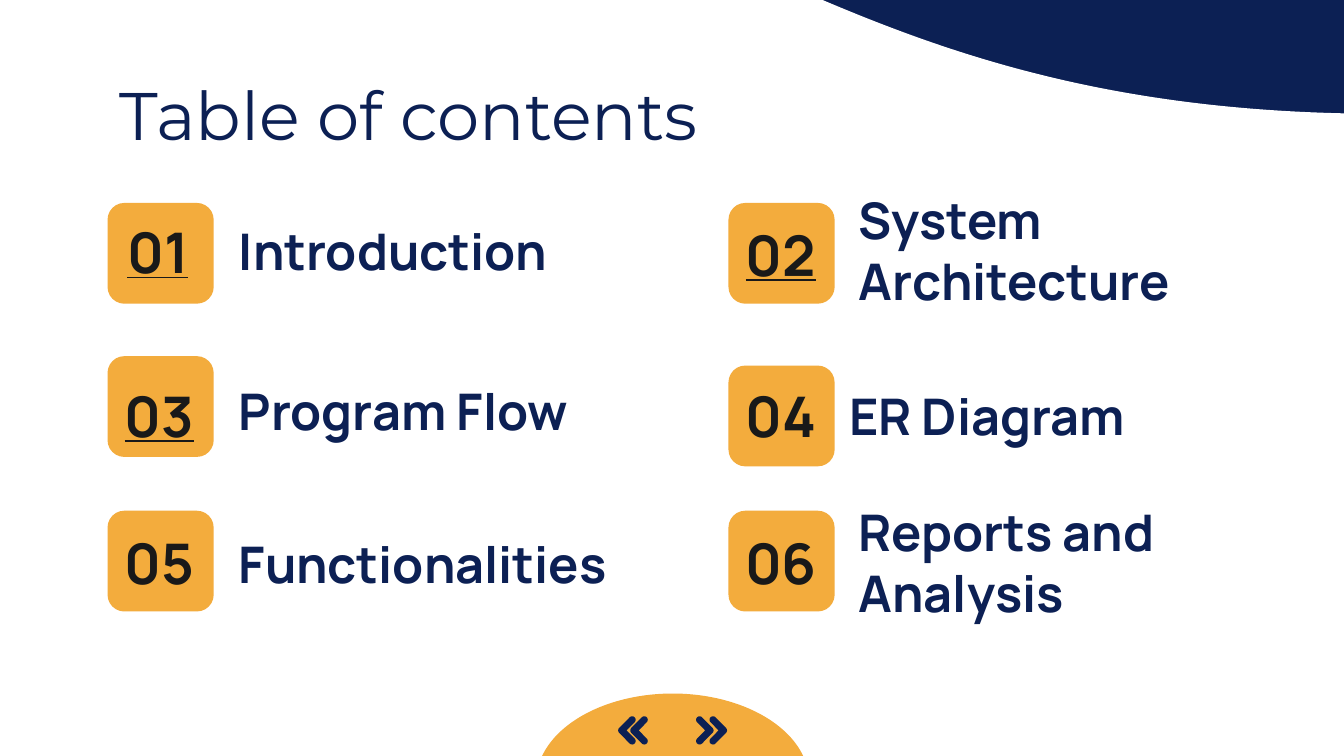
from math import cos, radians, sin, sqrt

from pptx import Presentation
from pptx.dml.color import RGBColor
from pptx.enum.shapes import MSO_SHAPE as Preset
from pptx.enum.text import MSO_ANCHOR as Anchor, MSO_AUTO_SIZE as AutoSize, PP_ALIGN as Align
from pptx.util import Inches, Pt

NAVY = RGBColor(0x0C, 0x20, 0x54)
ORANGE = RGBColor(0xF3, 0xAC, 0x3D)
WHITE = RGBColor(0xFF, 0xFF, 0xFF)
INK = RGBColor(0x19, 0x19, 0x19)

TITLE = "Table of contents"
# number, underlined, number width, label, label width, tile top, number top, label top
ENTRIES = [
    ("01", True, 0.77, "Introduction", 2.94, 1.51, 1.58, 1.57),
    ("02", True, 0.82, "System Architecture", 3.16, 1.51, 1.60, 1.57),
    ("03", True, 0.79, "Program Flow", 2.94, 2.65, 2.80, 2.76),
    ("04", False, 0.82, "ER Diagram", 2.94, 2.72, 2.80, 2.80),
    ("05", False, 0.79, "Functionalities", 3.14, 3.80, 3.89, 3.90),
    ("06", False, 0.82, "Reports and Analysis", 3.16, 3.80, 3.89, 3.89),
]
COLUMNS = [(0.8, 0.79, 1.68), (5.42, 5.4, 6.29)]  # lefts of tile, number, label
LABEL_LEFT = {"04": 6.22}  # sits closer to its tile than the others
TILE_WIDTH, TILE_HEIGHT = 0.79, 0.75
TEXT_HEIGHT = 0.58

ARROW_TOP = 5.33
ARROW_GROUPS = [((5.18, 5.28), False), ((4.69, 4.60), True)]  # lefts, points left
ARROW_WIDTH, ARROW_HEIGHT = 0.13, 0.21
ARROW_RADIUS = ARROW_WIDTH / 5
UNITS_PER_INCH = 10000  # freeform points are rounded to whole units


def paint(shape, color):
    shape.shadow.inherit = False
    shape.fill.solid()
    shape.fill.fore_color.rgb = color
    shape.line.fill.background()


def add_preset(shapes, preset, box, color, flipped=False):
    """Add a filled preset; flipped turns it upside down."""
    shape = shapes.add_shape(preset, *map(Inches, box))
    paint(shape, color)
    if flipped:
        shape.rotation = 180
        shape._element.spPr.xfrm.set("flipH", "1")
    return shape


def write(shape, text, size, font_name, color, align=Align.LEFT, bold=False, underline=False):
    frame = shape.text_frame
    frame.word_wrap = True
    frame.auto_size = AutoSize.NONE
    frame.vertical_anchor = Anchor.MIDDLE
    frame.margin_left = frame.margin_right = Inches(0.1)
    frame.margin_top = frame.margin_bottom = Inches(0.1)
    paragraph = frame.paragraphs[0]
    paragraph.alignment = align
    run = paragraph.add_run()
    run.text = text
    font = run.font
    font.name, font.size, font.bold, font.underline = font_name, Pt(size), bold, underline
    font.color.rgb = color


def chevron_points():
    """Outline of a right-pointing chevron with round ends, in inches."""
    radius = ARROW_RADIUS
    tip_x, middle = ARROW_WIDTH - radius, ARROW_HEIGHT / 2
    arcs = [
        (radius, radius, 135, 315),
        (tip_x, middle, -45, 45),
        (radius, ARROW_HEIGHT - radius, 45, 225),
    ]
    points = [
        (x + radius * cos(radians(angle)), y + radius * sin(radians(angle)))
        for x, y, start, end in arcs
        for angle in range(start, end + 1, 15)
    ]
    return points + [(tip_x - radius * sqrt(2), middle)]


def add_chevron(shapes, left, points_left):
    points = [
        (round((left + (ARROW_WIDTH - x if points_left else x)) * UNITS_PER_INCH),
         round((ARROW_TOP + y) * UNITS_PER_INCH))
        for x, y in chevron_points()
    ]
    builder = shapes.build_freeform(*points[0], scale=Inches(1) / UNITS_PER_INCH)
    builder.add_line_segments(points[1:], close=True)
    paint(builder.convert_to_shape(), NAVY)


def add_entry(shapes, index, entry):
    number, underlined, number_width, label, label_width, tile_top, number_top, label_top = entry
    tile_left, number_left, label_left = COLUMNS[index % len(COLUMNS)]
    tile = add_preset(shapes, Preset.ROUNDED_RECTANGLE,
                      (tile_left, tile_top, TILE_WIDTH, TILE_HEIGHT), ORANGE)
    tile.adjustments[0] = 0.167

    number_box = shapes.add_textbox(Inches(number_left), Inches(number_top),
                                    Inches(number_width), Inches(TEXT_HEIGHT))
    write(number_box, number, 30, "Manrope", INK, Align.CENTER, True, underlined)

    label_box = shapes.add_textbox(Inches(LABEL_LEFT.get(number, label_left)), Inches(label_top),
                                   Inches(label_width), Inches(TEXT_HEIGHT))
    write(label_box, label, 27, "Manrope", NAVY, bold=True)


def main():
    presentation = Presentation()
    presentation.slide_width = Inches(10)
    presentation.slide_height = Inches(10) * 9 // 16
    slide = presentation.slides.add_slide(presentation.slide_layouts[5])
    shapes = slide.shapes
    slide.background.fill.solid()
    slide.background.fill.fore_color.rgb = NAVY

    add_preset(shapes, Preset.FLOWCHART_DOCUMENT, (-0.28, -1.17, 10.57, 10.18), WHITE, True)

    title = shapes.title
    title.left, title.top = Inches(0.79), Inches(0.58)
    title.width, title.height = Inches(8.43), Inches(0.53)
    write(title, TITLE, 36, "Montserrat", NAVY)
    shapes._spTree.append(title._element)  # in front of the white panel

    for index, entry in enumerate(ENTRIES):
        add_entry(shapes, index, entry)

    dome = add_preset(shapes, Preset.PIE, (3.99, 5.16, 2.03, 1.31), ORANGE, True)
    dome.adjustments[0] = 0
    dome.adjustments[1] = 108.31

    for lefts, points_left in ARROW_GROUPS:
        group = shapes.add_group_shape()
        for left in lefts:
            add_chevron(group.shapes, left, points_left)

    presentation.save("out.pptx")


if __name__ == "__main__":
    main()
